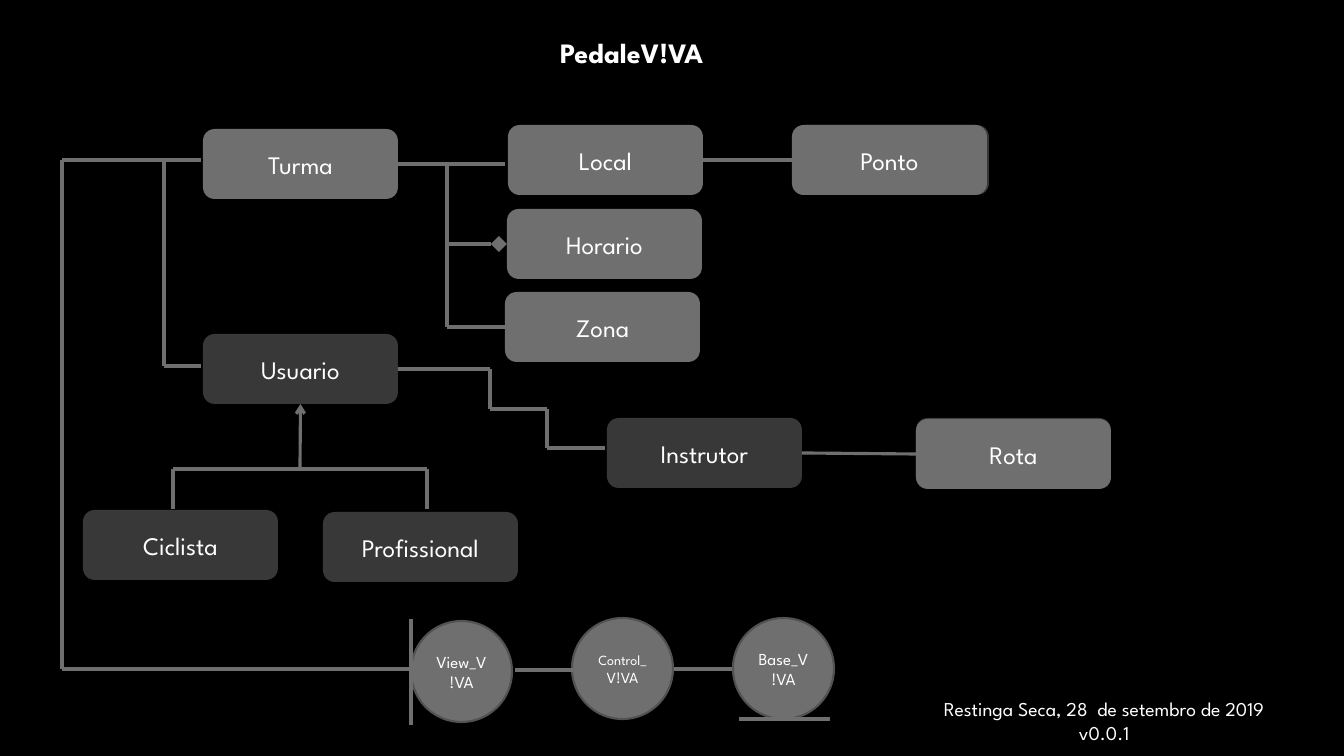
"""Builds the PedaleV!VA class diagram slide."""
from itertools import pairwise

from lxml import etree
from pptx import Presentation
from pptx.dml.color import RGBColor
from pptx.enum import shapes, text
from pptx.oxml import ns
from pptx.util import Emu, Pt

BLACK = RGBColor(0x00, 0x00, 0x00)
WHITE = RGBColor(0xFF, 0xFF, 0xFF)
GRAY = RGBColor(0x6F, 0x6F, 0x6F)
DARK = RGBColor(0x38, 0x38, 0x38)
EDGE = RGBColor(0x52, 0x52, 0x52)
FONT = "League Spartan"
EMU_PER_PX = 914400 / 100.8
SLIDE_SIZE = (1344, 756)
BOX_SIZE = (195, 70)
CIRCLE_SIZE = (101, 101)
LEFT, BOTTOM, RIGHT = 1, 2, 3

TITLE = "PedaleV!VA"
FOOTER = ["Restinga Seca, 28  de setembro de 2019", "v0.0.1"]
BACKING = [(794, 125), (916, 418)]
BOXES = {
    "Usuario": (203, 334, DARK),
    "Ciclista": (83, 510, DARK),
    "Profissional": (323, 512, DARK),
    "Instrutor": (607, 418, DARK),
    "Turma": (203, 129, GRAY),
    "Local": (508, 125, GRAY),
    "Horario": (507, 209, GRAY),
    "Zona": (505, 292, GRAY),
    "Ponto": (792, 125, GRAY),
    "Rota": (916, 419, GRAY),
}
CIRCLES = [
    (411, 621, [("View_V!VA", 12)]),
    (572, 618, [("Control", 10), ("_V!VA", 11)]),
    (733, 618, [("Base_V!VA", 12)]),
]
DIAMOND = (491, 236, 16, 16)
INHERITANCE = [(300, 469), ("Usuario", BOTTOM)]
ROUTES = [
    [(173, 509), (173, 469), (427, 469), (427, 509)],
    [("Turma", RIGHT), (447, 164), (505, 164)],
    [(447, 164), (447, 327), ("Zona", LEFT)],
    [(447, 244), (491, 244)],
    [("Local", RIGHT), ("Ponto", LEFT)],
    [("Instrutor", RIGHT), ("Rota", LEFT)],
    [("Usuario", RIGHT), (490, 369), (490, 409), (547, 409), (547, 448), (605, 448)],
    [(164, 160), (164, 366), (201, 366)],
    [(201, 160), (62, 160), (62, 669), (411, 669)],
    [(411, 619), (411, 725)],
    [(515, 670), (573, 670)],
    [(674, 669), (732, 669)],
    [(739, 719), (830, 719)],
]


def px(*lengths):
    return [Emu(round(length * EMU_PER_PX)) for length in lengths]


def style_font(font, size, bold=False):
    font.name, font.size, font.bold = FONT, Pt(size), bold
    font.color.rgb = WHITE


def add_filled(slide, kind, bounds, fill, edge=None):
    shape = slide.shapes.add_shape(kind, *px(*bounds))
    shape.shadow.inherit = False
    shape.fill.solid()
    shape.fill.fore_color.rgb = fill
    if edge is None:
        shape.line.fill.background()
    else:
        shape.line.color.rgb = edge
        shape.line.width = Pt(1.5)
    return shape


def write_label(shape, runs):
    shape.text_frame.vertical_anchor = text.MSO_ANCHOR.MIDDLE
    paragraph = shape.text_frame.paragraphs[0]
    paragraph.alignment = text.PP_ALIGN.CENTER
    for words, size in runs:
        run = paragraph.add_run()
        run.text = words
        style_font(run.font, size)


def add_line(slide, boxes, start, end):
    points = [(0, 0) if isinstance(stop[0], str) else stop for stop in (start, end)]
    line = slide.shapes.add_connector(
        shapes.MSO_CONNECTOR.STRAIGHT, *px(*points[0], *points[1]))
    for stop, connect in ((start, line.begin_connect), (end, line.end_connect)):
        if isinstance(stop[0], str):
            connect(boxes[stop[0]], stop[1])
    line.line.color.rgb = GRAY
    line.line.width = Pt(2.25)
    etree.SubElement(line._element.spPr, ns.qn("a:effectLst"))
    return line


def add_title(slide):
    title = slide.shapes.title
    title.left, title.top, title.width, title.height = px(550, 30, 219, 44)
    frame = title.text_frame
    frame.text = TITLE
    frame.auto_size = text.MSO_AUTO_SIZE.NONE
    frame.vertical_anchor = text.MSO_ANCHOR.TOP
    frame.paragraphs[0].alignment = text.PP_ALIGN.LEFT
    style_font(frame.paragraphs[0].font, 20, bold=True)


def add_footer(slide):
    frame = slide.shapes.add_textbox(*px(934, 692, 410, 57)).text_frame
    frame.word_wrap = False
    frame.auto_size = text.MSO_AUTO_SIZE.SHAPE_TO_FIT_TEXT
    frame.text = "\n".join(FOOTER)
    for paragraph in frame.paragraphs:
        style_font(paragraph.font, 14)
    frame.paragraphs[1].alignment = text.PP_ALIGN.CENTER


def main():
    presentation = Presentation()
    presentation.slide_width, presentation.slide_height = px(*SLIDE_SIZE)
    slide = presentation.slides.add_slide(presentation.slide_layouts[5])
    slide.background.fill.solid()
    slide.background.fill.fore_color.rgb = BLACK
    add_title(slide)

    rounded = shapes.MSO_SHAPE.ROUNDED_RECTANGLE
    for corner in BACKING:
        add_filled(slide, rounded, corner + BOX_SIZE, DARK)
    boxes = {}
    for name, (left, top, fill) in BOXES.items():
        boxes[name] = add_filled(slide, rounded, (left, top) + BOX_SIZE, fill)
        write_label(boxes[name], [(name, 18)])
    for left, top, runs in CIRCLES:
        circle = add_filled(
            slide, shapes.MSO_SHAPE.OVAL, (left, top) + CIRCLE_SIZE, GRAY, EDGE)
        write_label(circle, runs)

    for route in ROUTES:
        for start, end in pairwise(route):
            add_line(slide, boxes, start, end)
    arrow = add_line(slide, boxes, *INHERITANCE)
    etree.SubElement(arrow.line._get_or_add_ln(), ns.qn("a:tailEnd"), type="arrow")
    add_filled(slide, shapes.MSO_SHAPE.FLOWCHART_DECISION, DIAMOND, GRAY)
    add_footer(slide)
    presentation.save("out.pptx")


if __name__ == "__main__":
    main()
